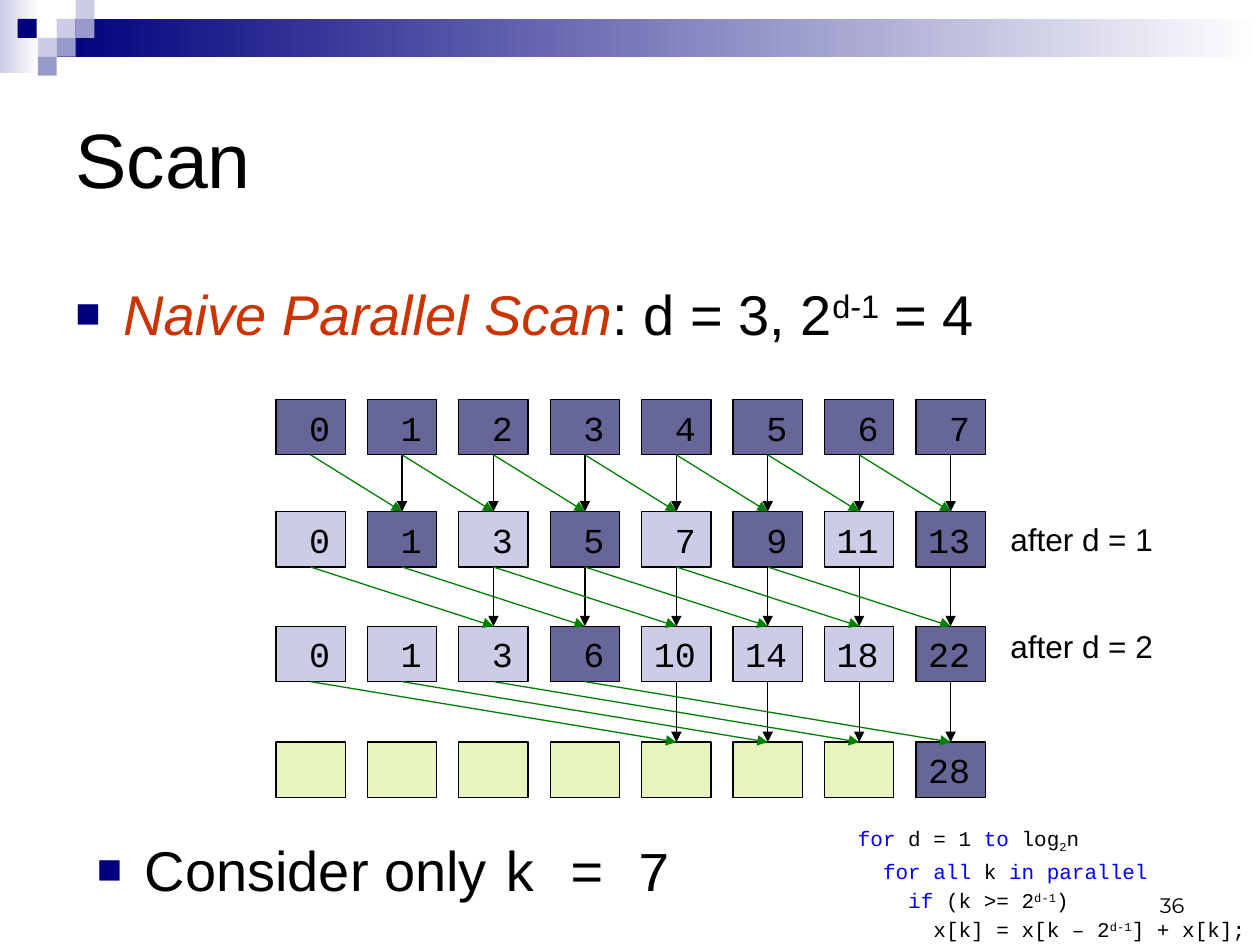
from pptx import Presentation
from pptx.dml.color import RGBColor
from pptx.enum.shapes import MSO_CONNECTOR, MSO_SHAPE
from pptx.enum.text import MSO_ANCHOR, PP_ALIGN
from pptx.oxml.ns import qn
from pptx.util import Inches, Pt
from lxml.etree import SubElement

NAVY = RGBColor(0x00, 0x00, 0x7D)
PALE = RGBColor(0xCC, 0xCC, 0xE6)
MID = RGBColor(0x99, 0x99, 0xCC)
DARK = RGBColor(0x66, 0x66, 0x99)
LIME = RGBColor(0xE7, 0xF4, 0xBE)
WHITE = RGBColor(0xFF, 0xFF, 0xFF)
BLACK = RGBColor(0x00, 0x00, 0x00)
GREEN = RGBColor(0x00, 0x80, 0x00)
BLUE = RGBColor(0x00, 0x00, 0xFF)
RED = RGBColor(0xCC, 0x33, 0x00)
SANS, MONO = "Arial", "Courier New"
SUP, SUB = {"base": 30}, {"base": -25}
KEY = {"color": BLUE}

# Content: a run is (text, changes to the paragraph's font)
TITLE = [("Scan", {})]
HEAD = [("Naive Parallel Scan", {"color": RED, "italic": True}),
        (": d = 3, 2", {}), ("d-1", SUP), (" = 4", {})]
NOTE = [("Consider only ", {}), ("k = 7", {"face": MONO})]
CODE = [
    [("for", KEY), (" d = 1 ", {}), ("to", KEY), (" log", {}), ("2", SUB), ("n", {})],
    [("for all", KEY), (" k ", {}), ("in parallel", KEY)],
    [("if ", KEY), ("(k >= 2", {}), ("d-1", SUP), (")", {})],
    [("x[k] = x[k – 2", {}), ("d-1", SUP), ("] + x[k];", {})],
]
ROWS = [
    (3.17, [0, 1, 2, 3, 4, 5, 6, 7]),
    (4.06, [0, 1, 3, 5, 7, 9, 11, 13]),
    (4.97, [0, 1, 3, 6, 10, 14, 18, 22]),
    (5.89, [None] * 7 + [28]),
]
LABELS = [(4.08, "after d = 1"), (4.93, "after d = 2")]
BANDS = [(0, 0, 0.31, 0.58, PALE), (0.45, 0.15, 9.55, 0.3, NAVY)]
TILES = [(0.45, 0.15, PALE), (0.6, 0, PALE), (0.6, 0.15, MID), (0.3, 0.3, PALE),
         (0.14, 0.15, NAVY), (0.45, 0.3, MID), (0.3, 0.45, MID)]
LEFT, STEP, WIDE, HIGH = 2.19, 5.08 / 7, 0.55, 0.44

deck = Presentation()
deck.slide_width, deck.slide_height = Inches(10), Inches(7.5)
slide = deck.slides.add_slide(deck.slide_layouts[6])
shapes = slide.shapes


def rect(x, y, w, h, color=None):
    box = shapes.add_shape(MSO_SHAPE.RECTANGLE, *map(Inches, (x, y, w, h)))
    box.shadow.inherit = False
    box.line.fill.background()
    if color is not None:
        box.fill.solid()
        box.fill.fore_color.rgb = color
    return box


def write(para, runs, size, face=SANS):
    for text, look in runs:
        run = para.add_run()
        run.text = text
        run.font.size = Pt(size)
        run.font.name = look.get("face", face)
        run.font.color.rgb = look.get("color", BLACK)
        run.font.italic = look.get("italic", False)
        if "base" in look:
            run._r.get_or_add_rPr().set("baseline", str(look["base"] * 1000))


def frame(x, y, w, h, anchor=MSO_ANCHOR.TOP, wrap=True):
    text = shapes.add_textbox(*map(Inches, (x, y, w, h))).text_frame
    text.word_wrap = wrap
    text.vertical_anchor = anchor
    return text


def space(para):
    props = para._p.get_or_add_pPr()
    before = SubElement(props, qn("a:spcBef"))
    SubElement(before, qn("a:spcPct"), val="20000")
    return props


def bullet(para):
    props = space(para)
    props.set("marL", str(Inches(0.38)))
    props.set("indent", str(Inches(-0.38)))
    tint = SubElement(props, qn("a:buClr"))
    SubElement(tint, qn("a:srgbClr"), val=str(NAVY))
    SubElement(props, qn("a:buSzPct"), val="75000")
    SubElement(props, qn("a:buFont"), typeface=SANS)
    SubElement(props, qn("a:buChar"), char="■")


def arrow(x1, y1, x2, y2, color):
    line = shapes.add_connector(MSO_CONNECTOR.STRAIGHT, *map(Inches, (x1, y1, x2, y2)))
    line.line.color.rgb = color
    line.line.width = Pt(0.75)
    SubElement(line.line._get_or_add_ln(), qn("a:tailEnd"), type="triangle")
    SubElement(line._element.spPr, qn("a:effectLst"))


def middle(col):
    return LEFT + col * STEP + WIDE / 2


# Header decoration
for x, y, w, h, color in BANDS:
    band = rect(x, y, w, h)
    band.fill.gradient()
    band.fill.gradient_angle = 0
    for stop, (tone, place) in zip(band.fill.gradient_stops, [(color, 0), (WHITE, 1)]):
        stop.color.rgb = tone
        stop.position = place
for x, y, color in TILES:
    rect(x, y, 0.15, 0.15, color)

# Title and bullets
write(frame(0.5, 0.5, 9, 1.5, MSO_ANCHOR.MIDDLE).paragraphs[0], TITLE, 44)
for place, runs in [((0.5, 2.17, 9, 4.25), HEAD), ((0.67, 6.58, 9, 0.83), NOTE)]:
    para = frame(*place).paragraphs[0]
    bullet(para)
    write(para, runs, 32)

# Cells: a finished block of 2**d elements ends in a dark cell
for d, (top, values) in enumerate(ROWS):
    for col, value in enumerate(values):
        plain = LIME if value is None else PALE
        dark = (col + 1) % 2 ** d == 0
        cell = rect(LEFT + col * STEP, top, WIDE, HIGH, DARK if dark else plain)
        cell.line.color.rgb = BLACK
        cell.line.width = Pt(0.75)
        if value is not None:
            text = cell.text_frame
            text.margin_left, text.margin_right = 0, Inches(0.12)
            text.vertical_anchor = MSO_ANCHOR.MIDDLE
            text.paragraphs[0].alignment = PP_ALIGN.RIGHT
            write(text.paragraphs[0], [(str(value), {})], 20, MONO)

# Arrows: each step adds the element 2**d places to the left
for d, ((top, _), (below, _)) in enumerate(zip(ROWS, ROWS[1:])):
    for col in range(2 ** d, 8):
        for start, color in [(col, BLACK), (col - 2 ** d, GREEN)]:
            arrow(middle(start), top + HIGH, middle(col), below, color)

# Row labels
for top, label in LABELS:
    write(frame(7.92, top, 1.33, 0.4, wrap=False).paragraphs[0], [(label, {})], 18)

# Pseudocode
code = frame(6.71, 6.5, 3.38, 1.08)
for level, runs in enumerate(CODE):
    para = code.paragraphs[0] if level == 0 else code.add_paragraph()
    space(para).set("marL", str(Inches(0.2 * level)))
    write(para, runs, 12, MONO)

# Slide number
para = frame(7.17, 6.83, 2.33, 0.5, MSO_ANCHOR.BOTTOM).paragraphs[0]
para.alignment = PP_ALIGN.RIGHT
write(para, [("36", {})], 12, "Montserrat")

deck.save("out.pptx")
